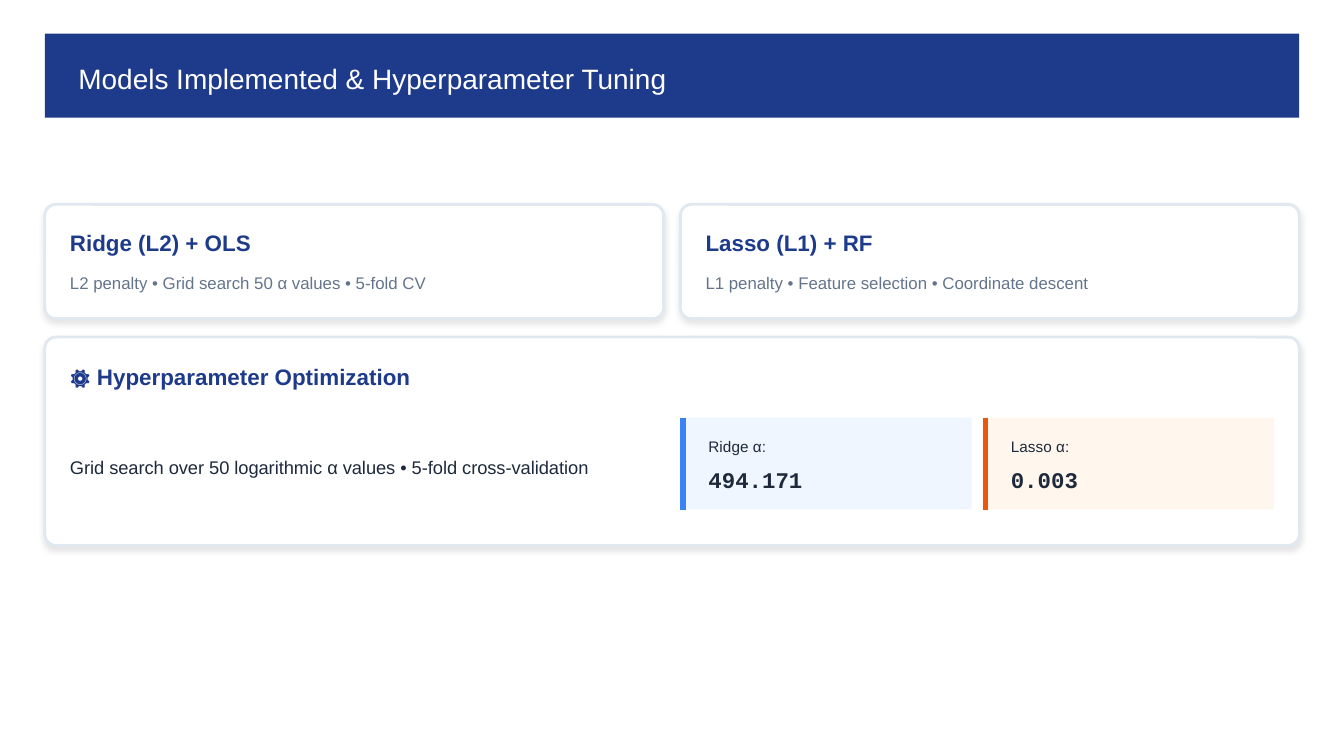
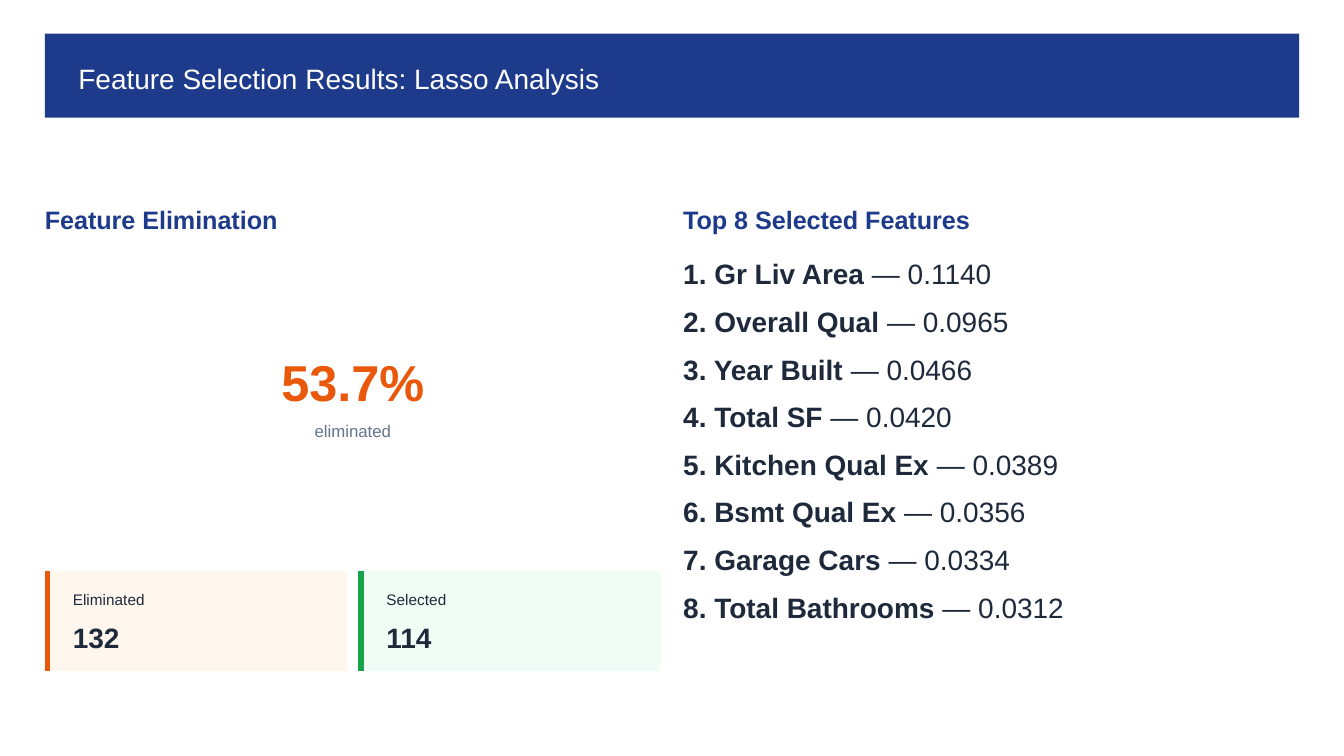
"""Build two slides on model tuning and Lasso feature selection."""
from lxml.etree import SubElement
from pptx import Presentation
from pptx.dml.color import RGBColor
from pptx.enum.shapes import MSO_CONNECTOR, MSO_SHAPE
from pptx.enum.text import PP_ALIGN
from pptx.oxml.ns import qn
from pptx.util import Inches, Pt

COLS, ROWS = 120, 67.5
WIDTH, HEIGHT = Inches(10), Inches(5.625)
ROW_PT = 6
LEFT, FULL = 4, 112
TOP = 18.25
CARD_W, CARD_GAP, PAD = 55.25, 1.5, 2.25
RIGHT = LEFT + CARD_W + CARD_GAP

COLORS = {
    "white": "FFFFFF", "navy": "1E3A8A", "ink": "1E293B", "muted": "64748B",
    "border": "E2E8F0",
    "blue": "3B82F6", "blue_tint": "EFF6FF",
    "orange": "EA580C", "orange_tint": "FFF7ED",
    "green": "16A34A", "green_tint": "F0FDF4",
}

FEATURES = [
    ("Gr Liv Area", "0.1140"), ("Overall Qual", "0.0965"),
    ("Year Built", "0.0466"), ("Total SF", "0.0420"),
    ("Kitchen Qual Ex", "0.0389"), ("Bsmt Qual Ex", "0.0356"),
    ("Garage Cars", "0.0334"), ("Total Bathrooms", "0.0312"),
]


def rgb(name):
    """Return the named palette colour."""
    return RGBColor.from_string(COLORS[name])


def grid(x, y):
    """Convert a column and row to slide lengths."""
    return round(x * WIDTH / COLS), round(y * HEIGHT / ROWS)


def add_text(s, text, x, y, w, size, leading=None, color="ink", bold=False,
             font="Arial", align=PP_ALIGN.LEFT, tail=""):
    """Add one line of text, with an optional plain tail."""
    h = leading / ROW_PT if leading else PAD
    tf = s.shapes.add_textbox(*grid(x, y), *grid(w, h)).text_frame
    tf.word_wrap = True
    tf.margin_left = tf.margin_top = tf.margin_right = tf.margin_bottom = 0
    p = tf.paragraphs[0]
    p.alignment = align
    if leading:
        p.line_spacing = Pt(leading)
    for part, heavy in ((text, bold), (tail, False)):
        if part:
            r = p.add_run()
            r.text = part
            r.font.size, r.font.name, r.font.bold = Pt(size), font, heavy
            r.font.color.rgb = rgb(color)


def add_box(s, x, y, w, h, fill, kind=MSO_SHAPE.RECTANGLE):
    """Add a filled shape with no line or shadow."""
    sp = s.shapes.add_shape(kind, *grid(x, y), *grid(w, h))
    sp.shadow.inherit = False
    sp.fill.solid()
    sp.fill.fore_color.rgb = rgb(fill)
    sp.line.fill.background()
    return sp


def add_card(s, x, y, w, h):
    """Add a white rounded card with a border and soft shadow."""
    sp = add_box(s, x, y, w, h, "white", MSO_SHAPE.ROUNDED_RECTANGLE)
    sp.adjustments[0] = 1 / h
    sp.line.color.rgb = rgb("border")
    sp.line.width = Pt(1.5)
    effects = sp._element.spPr.find(qn("a:effectLst"))
    shadow = SubElement(effects, qn("a:outerShdw"), blurRad=str(Pt(3)),
                        dist=str(Pt(1.5)), dir="5400000", rotWithShape="0")
    black = SubElement(shadow, qn("a:srgbClr"), val="000000")
    SubElement(black, qn("a:alpha"), val="10000")


def add_model(s, x, name, details):
    """Add a card that describes a pair of models."""
    add_card(s, x, TOP, CARD_W, 10.2)
    add_text(s, name, x + PAD, 20.5, CARD_W - 3, 12, color="navy", bold=True)
    add_text(s, details, x + PAD, 23.75, CARD_W - 3, 9, 14.4, "muted")


def add_stat(s, x, y, w, h, label, value, accent, **value_format):
    """Add a tinted figure panel with an accent line at its left."""
    add_box(s, x, y, w, h, accent + "_tint")
    edge = x + 0.25
    line = s.shapes.add_connector(MSO_CONNECTOR.STRAIGHT, *grid(edge, y),
                                  *grid(edge, y + h))
    line.line.color.rgb = rgb(accent)
    line.line.width = Pt(3)
    SubElement(line._element.spPr, qn("a:effectLst"))
    add_text(s, label, x + 2.5, y + 1.45, w - 4, 8.25, 11.6)
    add_text(s, value, x + 2.5, y + 3.9, w - 4, bold=True, **value_format)


def add_stats(s, x, y, w, h, stats, **value_format):
    """Add a row of figure panels one column apart."""
    for i, stat in enumerate(stats):
        add_stat(s, x + i * (w + 1), y, w, h, *stat, **value_format)


def add_heading(s, text, x):
    """Add a column heading."""
    add_text(s, text, x, TOP, 56, 13.5, 16.2, "navy", True)


def new_slide(prs, title):
    """Add a blank slide with the title band."""
    s = prs.slides.add_slide(prs.slide_layouts[6])
    s.background.fill.solid()
    s.background.fill.fore_color.rgb = rgb("white")
    add_box(s, LEFT, 3, FULL, 7.5, "navy")
    add_text(s, title, LEFT + 3, 5, FULL - 4, 15, 21, "white")
    return s


def build_models(prs):
    """Build the models and tuning slide."""
    s = new_slide(prs, "Models Implemented & Hyperparameter Tuning")
    add_model(s, LEFT, "Ridge (L2) + OLS",
              "L2 penalty • Grid search 50 α values • 5-fold CV")
    add_model(s, RIGHT, "Lasso (L1) + RF",
              "L1 penalty • Feature selection • Coordinate descent")
    add_card(s, LEFT, 30.1, FULL, 18.6)
    add_text(s, "⚙️ Hyperparameter Optimization", LEFT + PAD, 32.4, FULL - 3,
             12, 14.4, "navy", True)
    add_text(s, "Grid search over 50 logarithmic α values • "
             "5-fold cross-validation", LEFT + PAD, 40.1, 54, 9.75, 15.6)
    add_stats(s, RIGHT, 37.3, 26, 8.2,
              [("Ridge α:", "494.171", "blue"), ("Lasso α:", "0.003", "orange")],
              size=12, leading=16.8, font="Courier New")


def build_features(prs):
    """Build the feature selection slide."""
    s = new_slide(prs, "Feature Selection Results: Lasso Analysis")
    add_heading(s, "Feature Elimination", LEFT)
    add_text(s, "53.7%", 25, 30.5, 13, 27, 37.8, "orange", True,
             align=PP_ALIGN.CENTER)
    add_text(s, "eliminated", 27.75, 37.3, 7.5, 9, 12.6, "muted",
             align=PP_ALIGN.CENTER)
    add_stats(s, LEFT, 51, 27, 8.9,
              [("Eliminated", "132", "orange"), ("Selected", "114", "green")],
              size=15, leading=21)
    add_heading(s, "Top 8 Selected Features", 61)
    for i, (name, weight) in enumerate(FEATURES):
        add_text(s, f"{i + 1}. {name}", 61, 22.44 + i * 4.25, 56, 15, 21,
                 bold=True, tail=f" — {weight}")


def main():
    """Build and save the presentation."""
    prs = Presentation()
    prs.slide_width, prs.slide_height = WIDTH, HEIGHT
    build_models(prs)
    build_features(prs)
    prs.save("out.pptx")


if __name__ == "__main__":
    main()
